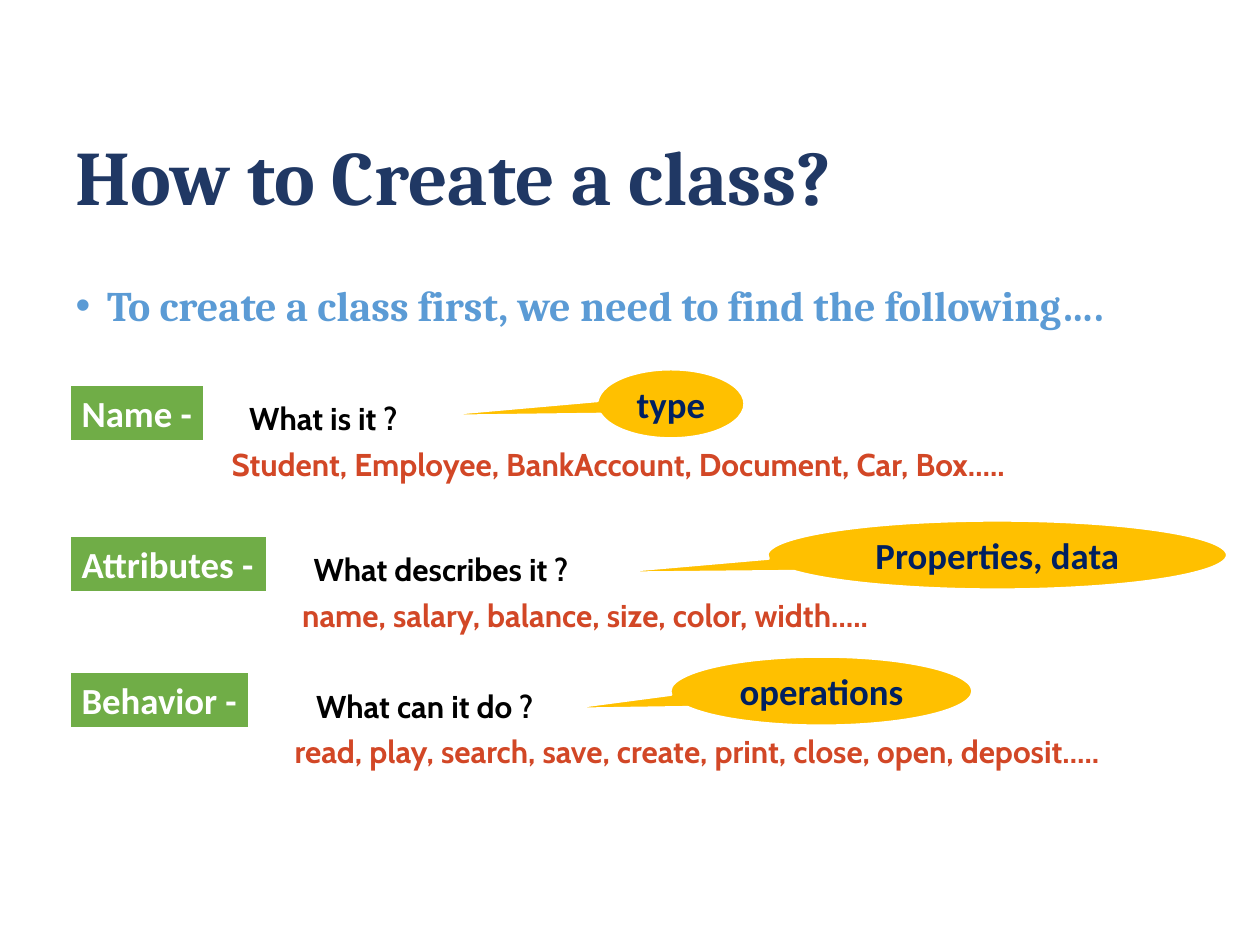
"""Build a slide on finding the name, attributes and behavior of a class."""
import pptx
import pptx.util
import pptx.dml.color
import pptx.enum.shapes
import pptx.enum.text

presentation = pptx.Presentation()
presentation.slide_width = pptx.util.Inches(10)
presentation.slide_height = pptx.util.Inches(7.5)
column = presentation.slide_width / 100
row = presentation.slide_height / 75
slide = presentation.slides.add_slide(presentation.slide_layouts[1])
ALIGN = pptx.enum.text.PP_ALIGN
ANCHOR = pptx.enum.text.MSO_ANCHOR
SHAPE = pptx.enum.shapes.MSO_SHAPE


def paint(color_format, color):
    color_format.rgb = pptx.dml.color.RGBColor.from_string(color)


def write(shape, box, text, font_name, size, color, anchor=ANCHOR.TOP, align=ALIGN.LEFT, wrap=True):
    left, top, width, height = box
    shape.left, shape.width = round(left * column), round(width * column)
    shape.top, shape.height = round(top * row), round(height * row)
    frame = shape.text_frame
    frame.text = text
    frame.word_wrap = wrap
    frame.auto_size = pptx.enum.text.MSO_AUTO_SIZE.NONE
    frame.vertical_anchor = anchor
    paragraph = frame.paragraphs[0]
    paragraph.alignment = align
    font = paragraph.runs[0].font
    font.name, font.size, font.bold = font_name, pptx.util.Pt(size), True
    paint(font.color, color)


title, body = slide.placeholders
write(title, (5, 9.4, 88.2, 9.9), "How to Create a class?", "Cambria", 44, "203864", ANCHOR.MIDDLE)
write(body, (5, 22.1, 91.2, 7.6), "To create a class first, we need to find the following….",
      "Cambria", 24, "5B9BD5")
for placeholder in (title, body):
    placeholder.text_frame.paragraphs[0].line_spacing = 0.9
bullet = body.text_frame.paragraphs[0]
bullet.space_before = pptx.util.Pt(10)
bullet_properties = bullet._p.get_or_add_pPr()
bullet_properties.set("marL", str(pptx.util.Inches(0.25)))
bullet_properties.set("indent", str(-pptx.util.Inches(0.25)))

steps = [
    (30.5, ("Name -", 10.7), ("What is it ?", 18.8, 15.6),
     ("Student, Employee, BankAccount, Document, Car, Box…..", 17.4, 72.9),
     ("type", 47.4, 11.7, (-1.68, 0.18))),
    (42.5, ("Attributes -", 15.7), ("What describes it ?", 23.9, 25.4),
     ("name, salary, balance, size, color, width…..", 23, 55),
     ("Properties, data", 60.9, 36.5, (-0.86, 0.26))),
    (53.3, ("Behavior -", 14.3), ("What can it do ?", 24.1, 21.8),
     ("read, play, search, save, create, print, close, open, deposit…..", 22.4, 77.4),
     ("operations", 53.2, 24, (-0.86, 0.26))),
]
for top, (name, name_width), question, examples, (answer, answer_left, answer_width, tip) in steps:
    label = slide.shapes.add_shape(SHAPE.RECTANGLE, 0, 0, 0, 0)
    write(label, (5.5, top, name_width, 4.5), name, "Calibri", 21, "FFFFFF", wrap=False)

    for (text, left, width), offset, color in ((question, 0.7, "000000"), (examples, 4.3, "D24726")):
        text_box = slide.shapes.add_textbox(0, 0, 0, 0)
        write(text_box, (left, top + offset, width, 4), text, "Cabin", 18, color)

    callout = slide.shapes.add_shape(SHAPE.OVAL_CALLOUT, 0, 0, 0, 0)
    callout.adjustments[0], callout.adjustments[1] = tip
    write(callout, (answer_left, top - 1.2, answer_width, 5.5), answer, "Calibri", 21, "002060",
          ANCHOR.MIDDLE, ALIGN.CENTER)

    for shape, fill in ((label, "70AD47"), (callout, "FFC000")):
        shape.shadow.inherit = False
        shape.fill.solid()
        paint(shape.fill.fore_color, fill)
        paint(shape.line.color, "FFFFFF")
        shape.line.width = pptx.util.Pt(1.5)

presentation.save("out.pptx")
